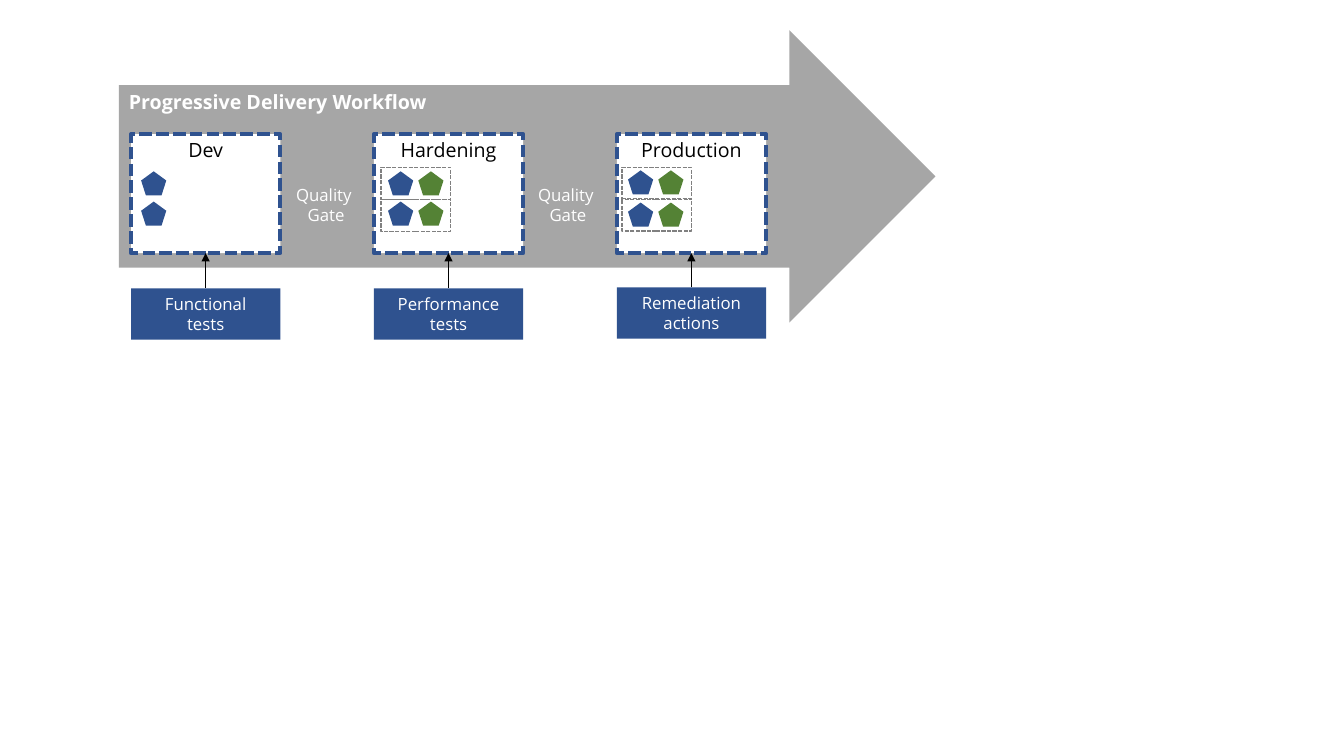
"""Builds a slide showing a progressive delivery workflow with three stages."""
from lxml import etree
from pptx import Presentation
from pptx.dml.color import RGBColor
from pptx.enum import dml, shapes, text
from pptx.oxml import ns
from pptx.util import Pt

BLUE = RGBColor(0x2F, 0x52, 0x8F)
GREEN = RGBColor(0x54, 0x82, 0x35)
GREY = RGBColor(0xA6, 0xA6, 0xA6)
FRAME_GREY = RGBColor(0x80, 0x80, 0x80)
WHITE = RGBColor(0xFF, 0xFF, 0xFF)
BLACK = RGBColor(0, 0, 0)
RECTANGLE = shapes.MSO_SHAPE.RECTANGLE
CENTER = text.PP_ALIGN.CENTER
TOP = text.MSO_ANCHOR.TOP
MIDDLE = text.MSO_ANCHOR.MIDDLE

presentation = Presentation()
presentation.slide_width, presentation.slide_height = Pt(960), Pt(540)
slide = presentation.slides.add_slide(presentation.slide_layouts[6])


def add_shape(kind, left, top, width, height, fill=None, line=None, line_width=1):
    shape = slide.shapes.add_shape(kind, Pt(left), Pt(top), Pt(width), Pt(height))
    shape.shadow.inherit = False
    if fill is None:
        shape.fill.background()
    else:
        shape.fill.solid()
        shape.fill.fore_color.rgb = fill
    if line is None:
        shape.line.fill.background()
    else:
        shape.line.color.rgb = line
        shape.line.width = Pt(line_width)
        shape.line.dash_style = dml.MSO_LINE.SQUARE_DOT
    return shape


def write(shape, wording, size, color, align=CENTER, anchor=TOP, margins=(2.88, 2.88), bold=False):
    frame = shape.text_frame
    frame.text = wording
    frame.word_wrap = True
    frame.vertical_anchor = anchor
    frame.margin_left = frame.margin_right = Pt(margins[0])
    frame.margin_top = frame.margin_bottom = Pt(margins[1])
    for paragraph in frame.paragraphs:
        paragraph.alignment = align
        for run in paragraph.runs:
            run.font.name = "Open Sans"
            run.font.size = Pt(size)
            run.font.bold = bold
            run.font.color.rgb = color


workflow = add_shape(shapes.MSO_SHAPE.RIGHT_ARROW, 85, 21.6, 583.2, 208.8, GREY)
workflow.adjustments[0] = 0.624
workflow.adjustments[1] = 0.5
write(workflow, "Progressive Delivery Workflow", 14, WHITE, text.PP_ALIGN.LEFT,
      margins=(7.2, 3.6), bold=True)

stages = [
    ("Dev", "Functional\ntests", 205.9),
    ("Hardening", "Performance tests", 205.9),
    ("Production", "Remediation actions", 205.2),
]
for index, (stage_name, check_name, check_top) in enumerate(stages):
    left = 93.6 + 173.5 * index
    stage = add_shape(RECTANGLE, left, 95.8, 106.6, 85, WHITE, BLUE, 3)
    write(stage, stage_name, 14, BLACK)
    check = add_shape(RECTANGLE, left, check_top, 106.6, 36.7, BLUE)
    write(check, check_name, 12, WHITE, anchor=MIDDLE)

    arrow = slide.shapes.add_connector(shapes.MSO_CONNECTOR.STRAIGHT, 0, 0, 0, 0)
    arrow.begin_connect(check, 0)
    arrow.end_connect(stage, 2)
    arrow.line.color.rgb = BLACK
    arrow.line.width = Pt(0.5)
    etree.SubElement(arrow.line._get_or_add_ln(), ns.qn("a:tailEnd"), type="triangle")
    etree.SubElement(arrow._element.spPr, ns.qn("a:effectLst"))

pod_groups = [
    (100.8, (122.4, 144), (BLUE,), None, ()),
    (277.2, (122.4, 144), (BLUE, GREEN), 272.2, (119.5, 142.5)),
    (448.6, (121.7, 144.7), (BLUE, GREEN), 444.2, (119.5, 141.9)),
]
for pod_left, pod_tops, colors, frame_left, frame_tops in pod_groups:
    for pod_top in pod_tops:
        for column, color in enumerate(colors):
            add_shape(shapes.MSO_SHAPE.REGULAR_PENTAGON, pod_left + 21.6 * column, pod_top,
                      18, 17.3, color)
    for frame_top in frame_tops:
        add_shape(RECTANGLE, frame_left, frame_top, 49.7, 23, line=FRAME_GREY)

for gate_left in (205.9, 378.7):
    gate = slide.shapes.add_textbox(Pt(gate_left), Pt(128.2), Pt(54), Pt(36))
    write(gate, "Quality \nGate", 12, WHITE, margins=(0, 3.6))
    gate.text_frame.auto_size = text.MSO_AUTO_SIZE.SHAPE_TO_FIT_TEXT

presentation.save("out.pptx")
